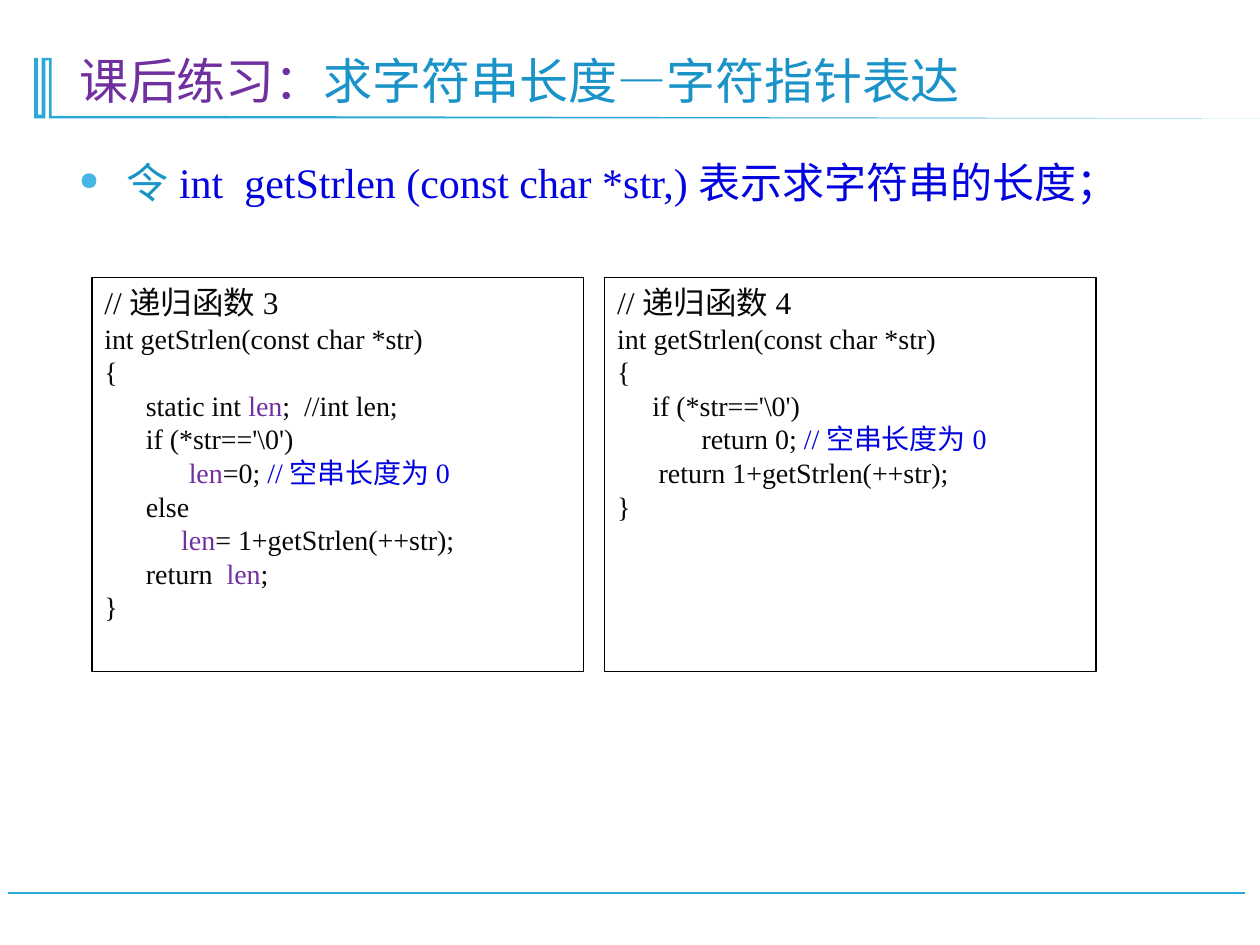
from lxml.etree import SubElement
from pptx import Presentation
from pptx.dml.color import RGBColor
from pptx.enum.shapes import MSO_CONNECTOR as Connector, MSO_SHAPE as Shape
from pptx.enum.text import MSO_ANCHOR as Anchor, PP_ALIGN as Align
from pptx.oxml.ns import qn
from pptx.util import Inches, Pt

FONT = "Times New Roman"
ACCENT, TITLE_BLUE, BULLET_BLUE = "28A9D6", "1A93C8", "47B6E7"
PURPLE, BLUE, INK = "7030A0", "0303DF", "080808"

# Each code line is (indent in inches, runs of text and colour).
STATIC_VERSION = [
    (0, [("//递归函数3", INK)]),
    (0, [("int getStrlen(const char *str)", INK)]),
    (0, [("{", INK)]),
    (0.33, [("static int ", INK), ("len", PURPLE), (";  //int len;", INK)]),
    (0.33, [("if (*str=='\\0')", INK)]),
    (0.67, [("len", PURPLE), ("=0; ", INK), ("//空串长度为0", BLUE)]),
    (0.33, [("else", INK)]),
    (0.61, [("len", PURPLE), ("= 1+getStrlen(++str);", INK)]),
    (0.33, [("return  ", INK), ("len", PURPLE), (";", INK)]),
    (0, [("}", INK)]),
]
DIRECT_VERSION = [
    (0, [("//递归函数4", INK)]),
    (0, [("int getStrlen(const char *str)", INK)]),
    (0, [("{", INK)]),
    (0.28, [("if (*str=='\\0')", INK)]),
    (0.67, [("return 0; ", INK), ("//空串长度为0", BLUE)]),
    (0.33, [("return 1+getStrlen(++str);", INK)]),
    (0, [("}", INK)]),
]


def color(value):
    return RGBColor.from_string(value)


def write(paragraph, runs, size, indent=0, hanging=0, line_spacing=None, before=None):
    """Fill a paragraph with (text, colour) runs; indents are in inches."""
    paragraph.alignment = Align.LEFT
    if line_spacing:
        paragraph.line_spacing = line_spacing
    if before:
        paragraph.space_before = Pt(before)
    properties = paragraph._p.get_or_add_pPr()
    properties.set("marL", str(Inches(indent)))
    properties.set("indent", str(-Inches(hanging)))
    for text, shade in runs:
        run = paragraph.add_run()
        run.text = text
        run.font.name = FONT
        run.font.size = Pt(size)
        run.font.color.rgb = color(shade)


def add_bullet(paragraph, char, shade, percent):
    properties = paragraph._p.get_or_add_pPr()
    bullet_color = SubElement(properties, qn("a:buClr"))
    SubElement(bullet_color, qn("a:srgbClr"), val=shade)
    SubElement(properties, qn("a:buSzPct"), val=str(percent * 1000))
    SubElement(properties, qn("a:buChar"), char=char)


def add_text_frame(slide, left, top, width, height, anchor):
    frame = slide.shapes.add_textbox(
        Inches(left), Inches(top), Inches(width), Inches(height)).text_frame
    frame.word_wrap = True
    frame.vertical_anchor = anchor
    return frame


def add_footer_rule(slide, left, top, width):
    rule = slide.shapes.add_connector(
        Connector.STRAIGHT, Inches(left + width), Inches(top), Inches(left), Inches(top))
    rule.line.color.rgb = color(ACCENT)
    rule.line.width = Pt(1.25)
    SubElement(rule._element.spPr, qn("a:effectLst"))


def add_title_ornament(slide, left, top):
    """Two upright bars joined to a rule that tapers to the right."""
    outline = [(0.14, 0), (0.14, 0.46), (1.13, 0.46), (9.82, 0.48), (0.12, 0.48),
               (0.12, 0.02), (0.09, 0.02), (0.09, 0.48), (0, 0.48), (0, 0),
               (0.03, 0), (0.03, 0.45), (0.06, 0.45), (0.06, 0)]
    points = [(Inches(left + x), Inches(top + y)) for x, y in outline]
    builder = slide.shapes.build_freeform(*points[0])
    builder.add_line_segments(points[1:], close=True)
    ornament = builder.convert_to_shape()
    ornament.shadow.inherit = False
    ornament.fill.solid()
    ornament.fill.fore_color.rgb = color(ACCENT)
    ornament.line.fill.background()


def add_title(slide, left, top, width, height):
    frame = add_text_frame(slide, left, top, width, height, Anchor.BOTTOM)
    write(frame.paragraphs[0],
          [("课后练习：", PURPLE), ("求字符串长度—字符指针表达", TITLE_BLUE)],
          size=28, line_spacing=0.9)


def add_task(slide, left, top, width, height):
    frame = add_text_frame(slide, left, top, width, height, Anchor.TOP)
    task = frame.paragraphs[0]
    write(task,
          [("令", TITLE_BLUE),
           ("int  getStrlen (const char *str,)表示求字符串的长度；", BLUE)],
          size=24, indent=0.38, hanging=0.38, line_spacing=0.9, before=13.5)
    add_bullet(task, "●", BULLET_BLUE, 60)


def add_code_box(slide, left, top, width, height, code):
    box = slide.shapes.add_shape(
        Shape.RECTANGLE, Inches(left), Inches(top), Inches(width), Inches(height))
    box.shadow.inherit = False
    box.fill.background()
    box.line.color.rgb = color("000000")
    box.line.width = Pt(0.75)
    frame = box.text_frame
    frame.word_wrap = True
    frame.vertical_anchor = Anchor.TOP
    for number, (indent, runs) in enumerate(code):
        paragraph = frame.add_paragraph() if number else frame.paragraphs[0]
        write(paragraph, runs, size=16 if number else 18, indent=indent)


def main():
    deck = Presentation()
    deck.slide_width, deck.slide_height = Inches(10), Inches(7.5)
    slide = deck.slides.add_slide(deck.slide_layouts[6])
    add_footer_rule(slide, 0.06, 7.09, 9.82)
    add_title_ornament(slide, 0.27, 0.46)
    add_title(slide, 0.53, 0.28, 8.85, 0.64)
    add_task(slide, 0.53, 1.24, 9.13, 0.64)
    for column, code in enumerate([STATIC_VERSION, DIRECT_VERSION]):
        add_code_box(slide, 0.73 + column * 4.07, 2.2, 3.9, 3.13, code)
    deck.save("out.pptx")


if __name__ == "__main__":
    main()
